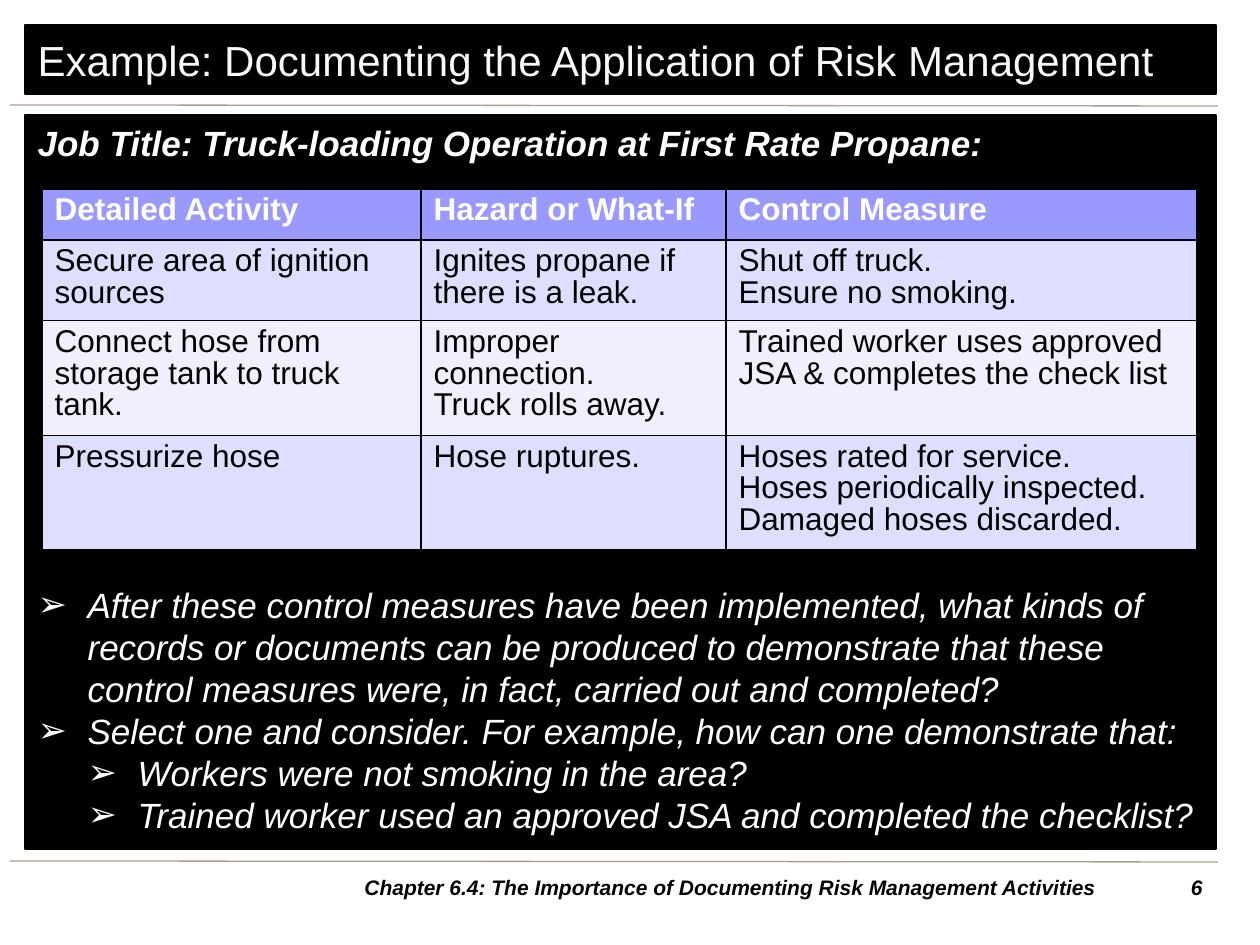
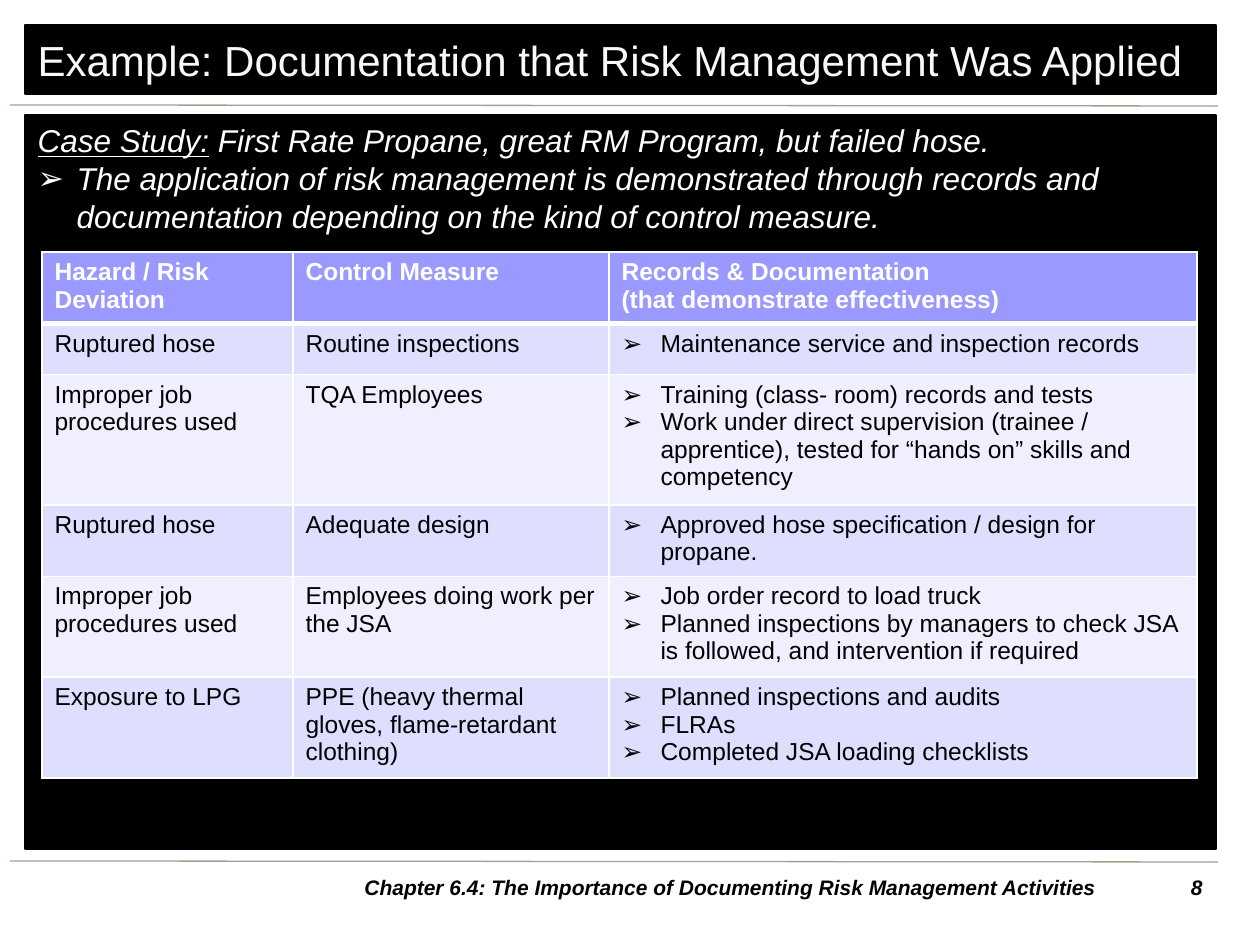
from lxml import etree
from pptx import Presentation
from pptx.dml.color import RGBColor
from pptx.enum.shapes import MSO_CONNECTOR
from pptx.enum.text import MSO_ANCHOR, MSO_AUTO_SIZE, PP_ALIGN
from pptx.oxml.ns import qn
from pptx.util import Emu, Pt

STRAIGHT = MSO_CONNECTOR.STRAIGHT
TOP, MIDDLE = MSO_ANCHOR.TOP, MSO_ANCHOR.MIDDLE
NO_FIT = MSO_AUTO_SIZE.NONE
LEFT, CENTER, RIGHT = PP_ALIGN.LEFT, PP_ALIGN.CENTER, PP_ALIGN.RIGHT

BLACK = RGBColor(0x00, 0x00, 0x00)
WHITE = RGBColor(0xFF, 0xFF, 0xFF)
TITLE_TEXT = RGBColor(0xF8, 0xF8, 0xF8)
RULE = RGBColor(0xAA, 0x9C, 0x8F)
HEADER = RGBColor(0x99, 0x99, 0xFF)
BANDS = [RGBColor(0xDE, 0xDE, 0xFF), RGBColor(0xEF, 0xEF, 0xFF)]

FONT = "Arial"
BULLET = "➢"
PX = 914400 / 126
CHAPTER = "Chapter 6.4: The Importance of Documenting Risk Management Activities"


def px(n):
    return Emu(round(n * PX))


def put(obj, values):
    for name, value in values.items():
        setattr(obj, name, value)


class Deck:
    def __init__(self):
        self.prs = Presentation()
        put(self.prs, {"slide_width": px(1260), "slide_height": px(945)})
        self.s = None

    def slide(self, title, number):
        self.s = self.prs.slides.add_slide(self.prs.slide_layouts[1])
        for y in (105, 861):
            self.rule(10, y, 1218, y + 1)
        tf = self.panel(self.s.shapes.title, (25, 25, 1191, 69), MIDDLE)
        self.para(tf, [(title, {})], 24, TITLE_TEXT)
        self.label(str(number), (1142, 868, 73, 39), RIGHT)
        self.label(CHAPTER, (346, 868, 769, 39), CENTER)

    def place(self, sp, box):
        put(sp, dict(zip(("left", "top", "width", "height"), map(px, box))))

    def panel(self, sp, box, anchor):
        self.place(sp, box)
        sp.fill.solid()
        sp.fill.fore_color.rgb = BLACK
        sp.line.color.rgb = BLACK
        sp.line.width = Pt(0.75)
        tf = sp.text_frame
        put(tf, {"word_wrap": True, "auto_size": NO_FIT, "vertical_anchor": anchor})
        return tf

    def rule(self, x1, y1, x2, y2):
        c = self.s.shapes.add_connector(STRAIGHT, px(x1), px(y1), px(x2), px(y2))
        c.line.color.rgb = RULE
        c.line.width = Pt(0.75)
        etree.SubElement(c._element.spPr, qn("a:effectLst"))

    def label(self, text, box, align):
        sp = self.s.shapes.add_textbox(*map(px, box))
        tf = sp.text_frame
        put(tf, {"word_wrap": True, "vertical_anchor": MIDDLE})
        self.para(tf, [(text, {})], 12, BLACK, align, bold=True, italic=True)

    def para(self, tf, runs, size, color, align=LEFT, level=0, indent=0,
             before=0, spacing=1.0, **style):
        p = tf.paragraphs[0]
        if p.runs:
            p = tf.add_paragraph()
        pPr = p._p.get_or_add_pPr()
        pPr.set("marL", str(px(indent * (level + 1))))
        pPr.set("indent", str(px(-indent)))
        if indent:
            etree.SubElement(pPr, qn("a:buFont")).set("typeface", FONT)
            etree.SubElement(pPr, qn("a:buChar")).set("char", BULLET)
        else:
            etree.SubElement(pPr, qn("a:buNone"))
        put(p, {"alignment": align, "level": level,
                "space_before": Pt(before), "line_spacing": spacing})
        for text, extra in runs:
            r = p.add_run()
            r.text = text
            put(r.font, {"name": FONT, "size": Pt(size), **style, **extra})
            r.font.color.rgb = color

    def body(self, heading, bullets, size, indent, spacing, gap=0):
        tf = self.panel(self.s.placeholders[1], (25, 115, 1191, 734), TOP)
        style = {"italic": True, "spacing": Pt(spacing)}
        self.para(tf, heading, size, WHITE, **style)
        for i, (level, text) in enumerate(bullets):
            self.para(tf, [(text, {})], size, WHITE, level=level, indent=indent,
                      before=0 if i else gap, **style)

    def border(self, cell, color, widths):
        tcPr = cell._tc.get_or_add_tcPr()
        for i, (side, width) in enumerate(zip("LRTB", widths)):
            ln = etree.Element(qn(f"a:ln{side}"), w=str(Pt(width)))
            fill = etree.SubElement(ln, qn("a:solidFill"))
            etree.SubElement(fill, qn("a:srgbClr")).set("val", str(color))
            tcPr.insert(i, ln)

    def table(self, rows, top, widths, heights, size, line, spacing=1.0,
              header_line=1, bullet_col=None):
        frame = self.s.shapes.add_table(len(rows), len(widths), px(42), px(top),
                                        px(sum(widths)), px(sum(heights)))
        table = frame.table
        for col, w in zip(table.columns, widths):
            col.width = px(w)
        for i, (row, h) in enumerate(zip(rows, heights)):
            table.rows[i].height = px(h)
            for j, text in enumerate(row):
                cell = table.cell(i, j)
                cell.fill.solid()
                cell.fill.fore_color.rgb = BANDS[(i - 1) % 2] if i else HEADER
                self.border(cell, line, (1, 1, header_line if i == 1 else 1,
                                         1 if i else header_line))
                for part in text.split("\n"):
                    self.para(cell.text_frame, [(part, {})], size,
                              BLACK if i else WHITE, bold=i == 0, spacing=spacing,
                              indent=39 if i and j == bullet_col else 0)


CONTROLS = [
    ("Detailed Activity", "Hazard or What-If", "Control Measure"),
    ("Secure area of ignition sources", "Ignites propane if there is a leak.",
     "Shut off truck.\nEnsure no smoking."),
    ("Connect hose from storage tank to truck tank.",
     "Improper connection.\nTruck rolls away.",
     "Trained worker uses approved JSA & completes the check list"),
    ("Pressurize hose", "Hose ruptures.",
     "Hoses rated for service.\n"
     "Hoses periodically inspected. Damaged hoses discarded."),
]
QUESTIONS = [
    (0, "After these control measures have been implemented, what kinds of records or "
        "documents can be produced to demonstrate that these control measures were, "
        "in fact, carried out and completed?"),
    (0, "Select one and consider. For example, how can one demonstrate that:"),
    (1, "Workers were not smoking in the area?"),
    (1, "Trained worker used an approved JSA and completed the checklist?"),
]
RECORDS = [
    ("Hazard / Risk Deviation", "Control Measure",
     "Records & Documentation\n(that demonstrate effectiveness)"),
    ("Ruptured hose", "Routine inspections",
     "Maintenance service and inspection records"),
    ("Improper job procedures used", "TQA Employees",
     "Training (class- room) records and tests\n"
     "Work under direct supervision (trainee / apprentice), tested for “hands on” "
     "skills and competency"),
    ("Ruptured hose", "Adequate design",
     "Approved hose specification / design for propane."),
    ("Improper job procedures used", "Employees doing work per the JSA",
     "Job order record to load truck\n"
     "Planned inspections by managers to check JSA is followed, and intervention "
     "if required"),
    ("Exposure to LPG", "PPE (heavy thermal gloves, flame-retardant clothing)",
     "Planned inspections and audits\nFLRAs\nCompleted JSA loading checklists"),
]
APPLICATION = [
    (0, "The application of risk management is demonstrated through records and "
        "documentation depending on the kind of control measure."),
]


def main():
    deck = Deck()

    deck.slide("Example: Documenting the Application of Risk Management", 6)
    deck.body([("Job Title: Truck-loading Operation at First Rate Propane:",
                {"bold": True})], QUESTIONS, 20, 50, 24, gap=240)
    deck.table(CONTROLS, 189, (379, 305, 471), (51, 76, 108, 108), 18, BLACK,
               spacing=0.9)

    deck.slide("Example: Documentation that Risk Management Was Applied", 8)
    deck.body([("Case Study:", {"underline": True}),
               (" First Rate Propane, great RM Program, but failed hose.", {})],
              APPLICATION, 18, 39, 21.7)
    deck.table(RECORDS, 252, (251, 316, 588), (68, 51, 122, 68, 95, 96), 14, WHITE,
               header_line=3, bullet_col=2)

    deck.prs.save("out.pptx")


if __name__ == "__main__":
    main()
